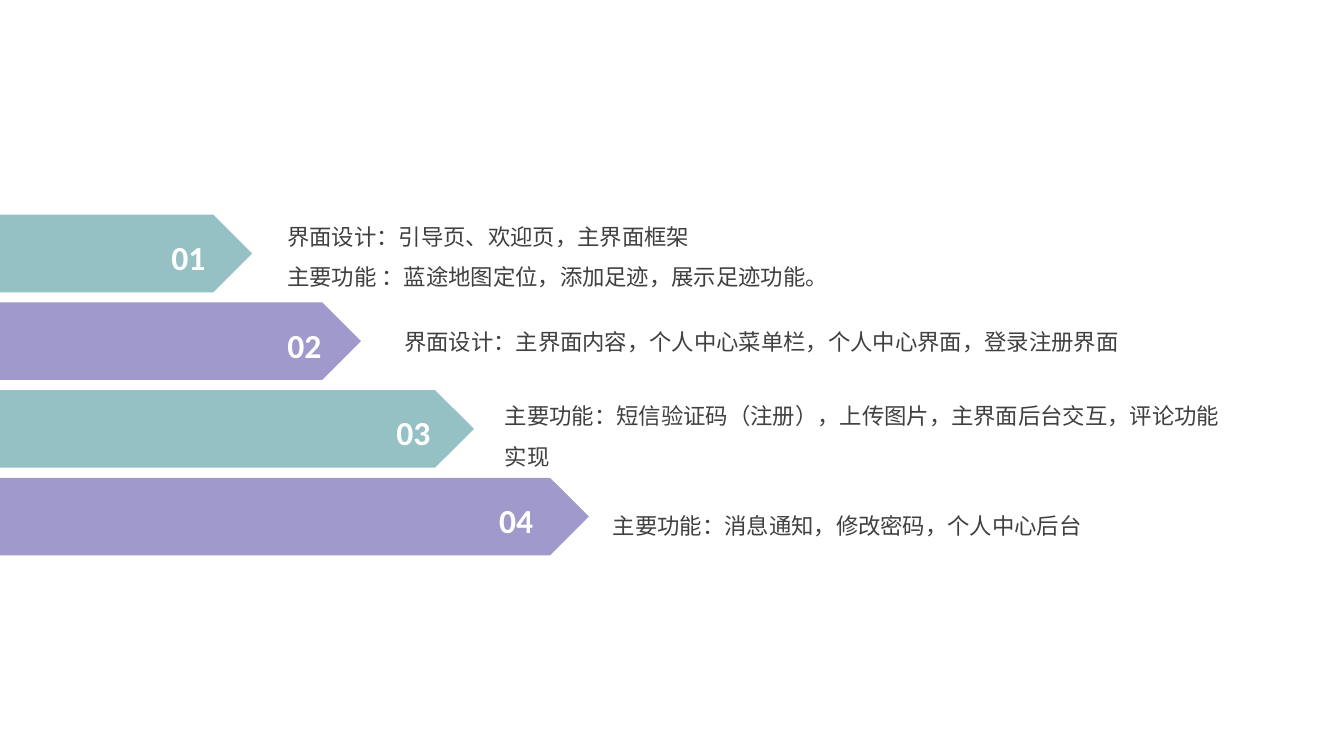
from pptx import Presentation
from pptx.dml.color import RGBColor
from pptx.enum import shapes, text
from pptx.util import Inches, Pt

FONT = "Calibri"
TEAL, PURPLE, WHITE, GREY = "95C1C4", "A099CB", "FFFFFF", "404040"

# Each step: arrow width, number left, text box (left, top, width, height), lines
STEPS = [
    (2.51, 1.60, (2.75, 2.03, 8.75, 0.87),
     ["界面设计：引导页、欢迎页，主界面框架",
      "主要功能 ：蓝途地图定位，添加足迹，展示足迹功能。"]),
    (3.59, 2.75, (3.91, 3.07, 7.43, 0.46),
     ["界面设计：主界面内容，个人中心菜单栏，个人中心界面，登录注册界面"]),
    (4.71, 3.83, (4.91, 3.81, 7.43, 0.87),
     ["主要功能：短信验证码（注册），上传图片，主界面后台交互，评论功能实现"]),
    (5.85, 4.85, (5.98, 4.90, 7.20, 0.46),
     ["主要功能：消息通知，修改密码，个人中心后台"]),
]
ARROW_LEFT, ARROW_TOP, ARROW_HEIGHT, ARROW_PITCH = -0.01, 2.13, 0.77, 0.87
NUMBER_DROP, NUMBER_WIDTH, NUMBER_HEIGHT = 0.17, 0.54, 0.5


def rgb(value):
    return RGBColor.from_string(value)


def add_text(slide, box, lines, size, color, bold=False, wrap=True,
             align=text.PP_ALIGN.LEFT, spacing=1.0):
    shape = slide.shapes.add_textbox(*map(Inches, box))
    frame = shape.text_frame
    frame.word_wrap = wrap
    frame.auto_size = text.MSO_AUTO_SIZE.SHAPE_TO_FIT_TEXT
    frame.text = "\n".join(lines)
    for paragraph in frame.paragraphs:
        paragraph.alignment = align
        paragraph.line_spacing = spacing
        font = paragraph.runs[0].font
        font.name, font.size, font.bold = FONT, Pt(size), bold
        font.color.rgb = rgb(color)


def add_arrow(slide, top, width, color):
    shape = slide.shapes.add_shape(
        shapes.MSO_SHAPE.PENTAGON,
        *map(Inches, (ARROW_LEFT, top, width, ARROW_HEIGHT)))
    shape.shadow.inherit = False
    shape.fill.solid()
    shape.fill.fore_color.rgb = rgb(color)
    shape.line.fill.background()


def main():
    presentation = Presentation()
    presentation.slide_width = Inches(13.33)
    presentation.slide_height = Inches(7.5)
    slide = presentation.slides.add_slide(presentation.slide_layouts[6])

    for index, (width, number_left, box, lines) in enumerate(STEPS):
        top = ARROW_TOP + index * ARROW_PITCH
        # Arrow with its number
        add_arrow(slide, top, width, (TEAL, PURPLE)[index % 2])
        add_text(slide,
                 (number_left, top + NUMBER_DROP, NUMBER_WIDTH, NUMBER_HEIGHT),
                 [f"{index + 1:02d}"], 24, WHITE, bold=True, wrap=False,
                 align=text.PP_ALIGN.CENTER)
        # Description beside the arrow
        add_text(slide, box, lines, 16, GREY, spacing=1.5)

    presentation.save("out.pptx")


if __name__ == "__main__":
    main()
